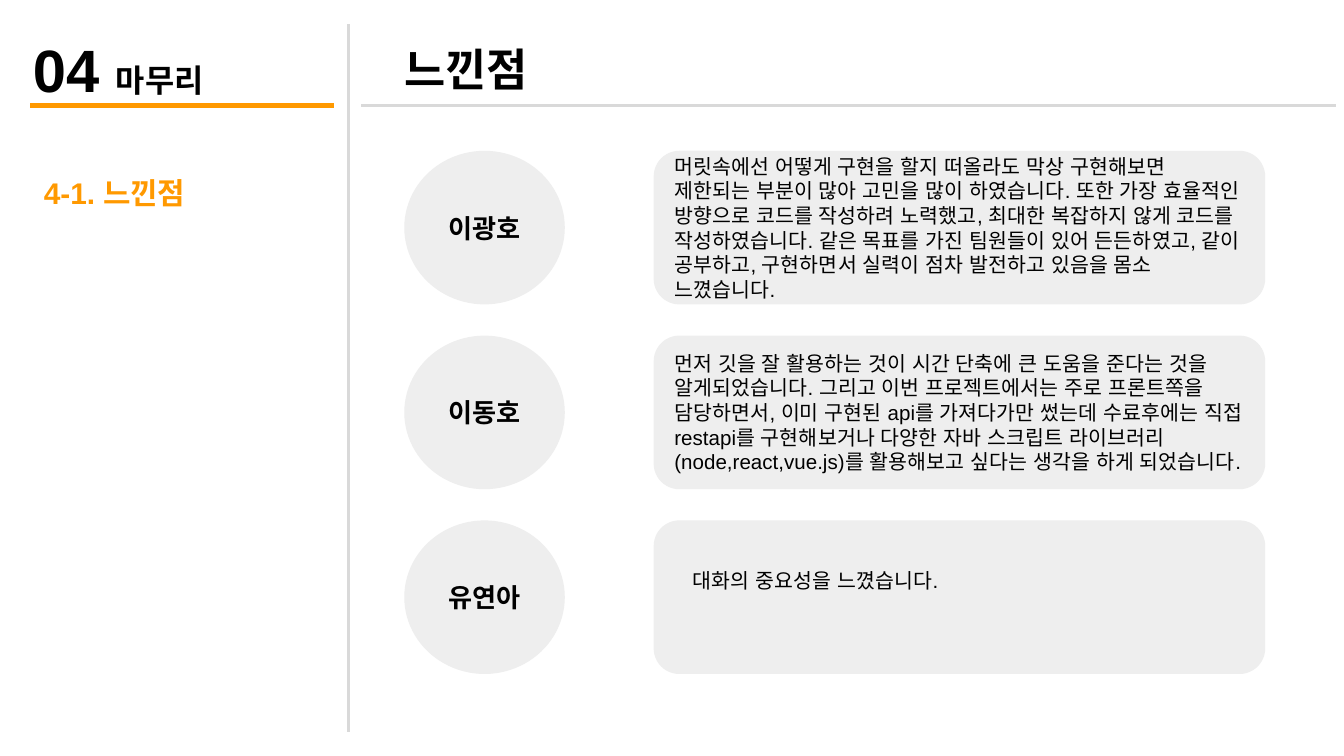
"""Build the closing slide with each team member's reflections."""
from pptx import Presentation
from pptx import util as u
from pptx.dml.color import RGBColor
from pptx.enum import lang, shapes, text
from pptx.oxml.ns import qn
from lxml import etree

Pt = u.Pt
COLORS = {"ink": "000000", "accent": "FF9900", "rule": "D9D9D9", "panel": "EEEEEE"}
INSET = 7.2

prs = Presentation()
prs.slide_width, prs.slide_height = Pt(720), Pt(405)
slide = prs.slides.add_slide(prs.slide_layouts[5])


def write(part, runs, color="ink", bold=True, align=text.PP_ALIGN.LEFT,
          anchor=text.MSO_ANCHOR.TOP, fit=text.MSO_AUTO_SIZE.NONE):
    frame = part.text_frame
    frame.word_wrap = True
    frame.auto_size = fit
    frame.vertical_anchor = anchor
    frame.margin_left = frame.margin_right = Pt(INSET)
    frame.margin_top = frame.margin_bottom = Pt(INSET)
    paragraph = frame.paragraphs[0]
    paragraph.alignment = align
    for wording, size in runs:
        run = paragraph.add_run()
        run.text = wording
        run.font.name = "Arial"
        run.font.size = Pt(size)
        run.font.bold = bold
        run.font.language_id = lang.MSO_LANGUAGE_ID.KOREAN
        run.font.color.rgb = RGBColor.from_string(COLORS[color])
        for script in ("a:ea", "a:cs", "a:sym"):
            face = etree.Element(qn(script), typeface="Arial")
            if script == "a:sym":
                run._r.rPr.find(qn("a:latin")).getnext().addprevious(face)
            else:
                run._r.rPr.append(face)
    return paragraph


def add_panel(kind, left, top, width, height):
    panel = slide.shapes.add_shape(kind, Pt(left), Pt(top), Pt(width), Pt(height))
    panel.shadow.inherit = False
    panel.fill.solid()
    panel.fill.fore_color.rgb = RGBColor.from_string(COLORS["panel"])
    panel.line.fill.background()
    return panel


for x1, y1, x2, y2, color, weight in [
    (186.7, 13, 186.7, 392.4, "rule", 1.5),
    (16.2, 56.5, 178.8, 56.5, "accent", 3),
    (193.5, 56.4, 715.7, 56.4, "rule", 1.5),
]:
    rule = slide.shapes.add_connector(
        shapes.MSO_CONNECTOR.STRAIGHT, Pt(x1), Pt(y1), Pt(x2), Pt(y2))
    rule.line.color.rgb = RGBColor.from_string(COLORS[color])
    rule.line.width = Pt(weight)
    etree.SubElement(rule._element.spPr, qn("a:effectLst"))

title = slide.shapes.title
title.left, title.top, title.width, title.height = Pt(209.5), Pt(15.1), Pt(144), Pt(44)
write(title, [("느낀점", 24)])

grow = text.MSO_AUTO_SIZE.SHAPE_TO_FIT_TEXT
chapter = slide.shapes.add_textbox(Pt(10.5), Pt(10.4), Pt(198.5), Pt(53.3))
write(chapter, [("04 ", 32), ("마무리", 17)], fit=grow)

section = slide.shapes.add_textbox(Pt(16.4), Pt(76.6), Pt(125.3), Pt(33.8))
write(section, [("4-1. 느낀점", 16)], color="accent", fit=grow).line_spacing = 1.5

reflections = [
    ("이광호", "머릿속에선 어떻게 구현을 할지 떠올라도 막상 구현해보면 제한되는 부분이 많아 고민을 많이 "
     "하였습니다. 또한 가장 효율적인 방향으로 코드를 작성하려 노력했고, 최대한 복잡하지 않게 코드를 "
     "작성하였습니다. 같은 목표를 가진 팀원들이 있어 든든하였고, 같이 공부하고, 구현하면서 실력이 "
     "점차 발전하고 있음을 몸소 느꼈습니다."),
    ("이동호", "먼저 깃을 잘 활용하는 것이 시간 단축에 큰 도움을 준다는 것을 알게되었습니다. 그리고 이번 "
     "프로젝트에서는 주로 프론트쪽을 담당하면서, 이미 구현된 api를 가져다가만 썼는데 수료후에는 직접 "
     "restapi를 구현해보거나 다양한 자바 스크립트 라이브러리(node,react,vue.js)를 활용해보고 싶다는 "
     "생각을 하게 되었습니다."),
    ("유연아", ""),
]
middle = text.MSO_ANCHOR.MIDDLE
for row, (member, reflection) in enumerate(reflections):
    top = 80.8 + 99 * row
    badge = add_panel(shapes.MSO_SHAPE.OVAL, 216.6, top, 86, 82.3)
    write(badge, [(member, 14)], align=text.PP_ALIGN.CENTER, anchor=middle)
    card = add_panel(shapes.MSO_SHAPE.ROUNDED_RECTANGLE, 350.2, top, 327.6, 82.3)
    if reflection:
        write(card, [(reflection, 11)], bold=False, anchor=middle)

short_reflection = slide.shapes.add_textbox(Pt(364), Pt(297.4), Pt(190.8), Pt(28))
write(short_reflection, [("대화의 중요성을 느꼈습니다.", 11)], bold=False, fit=grow)

prs.save("out.pptx")
